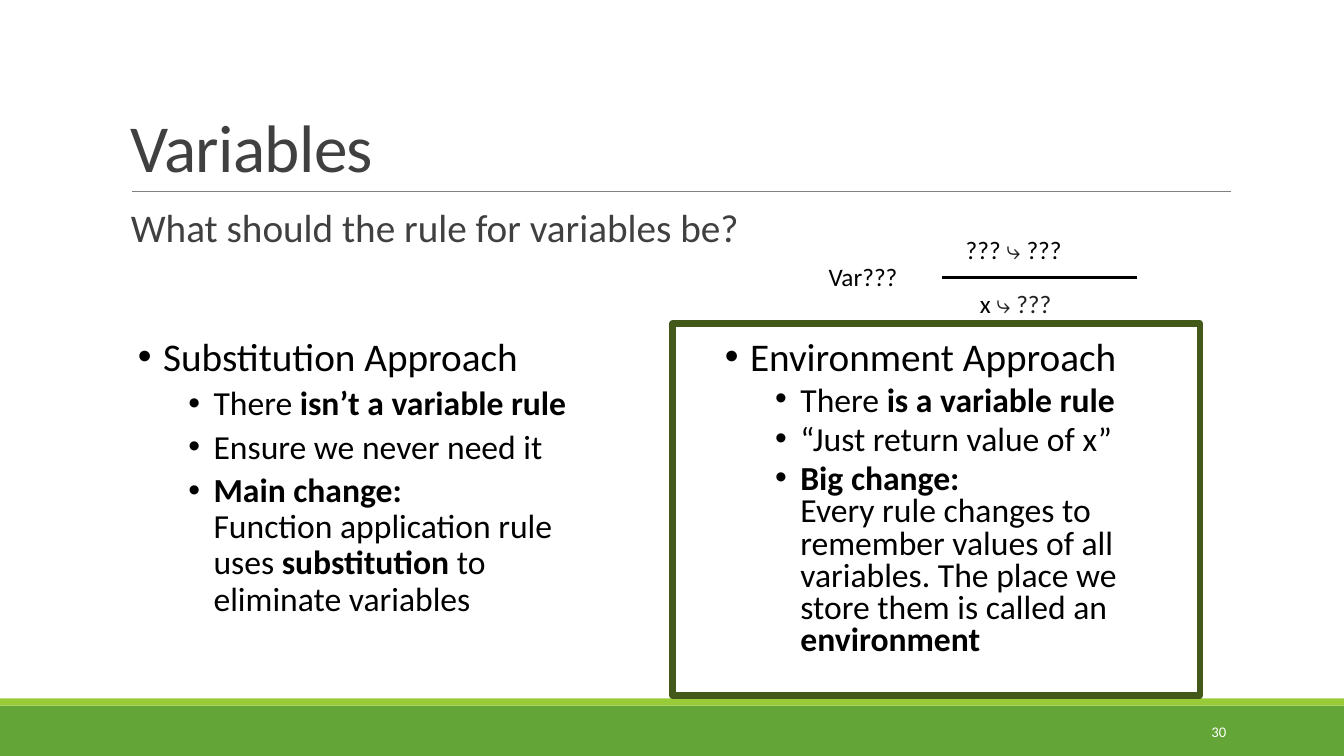
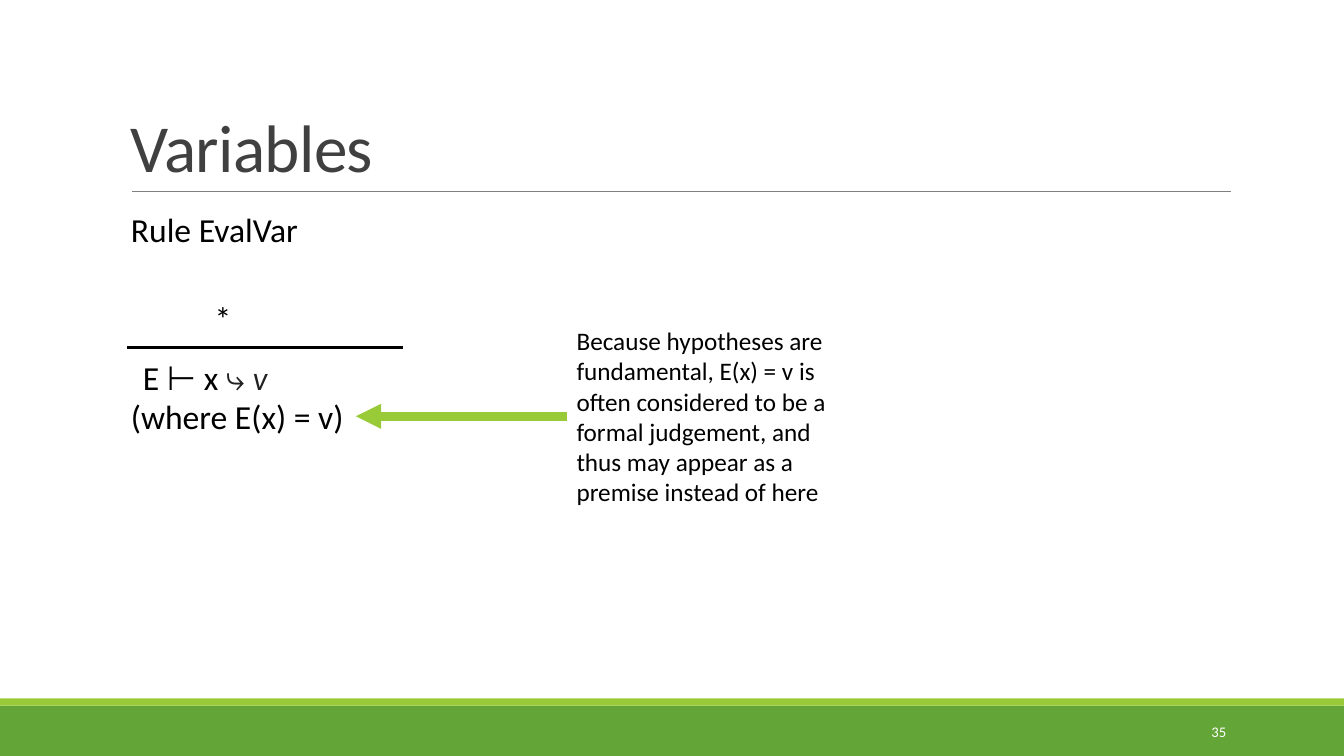
from lxml import etree
from pptx import Presentation
from pptx.dml.color import RGBColor
from pptx.enum.shapes import MSO_CONNECTOR, MSO_SHAPE
from pptx.enum.text import MSO_ANCHOR, PP_ALIGN
from pptx.oxml.ns import qn
from pptx.util import Inches, Pt

STRAIGHT = MSO_CONNECTOR.STRAIGHT
RECTANGLE = MSO_SHAPE.RECTANGLE
TOP, MIDDLE, BOTTOM = MSO_ANCHOR.TOP, MSO_ANCHOR.MIDDLE, MSO_ANCHOR.BOTTOM
LEFT, RIGHT = PP_ALIGN.LEFT, PP_ALIGN.RIGHT
LEFT_SIDE, RIGHT_SIDE = 1, 3

GREEN = RGBColor(0x63, 0xA5, 0x37)
LIME = RGBColor(0x99, 0xCB, 0x38)
DARK_GREEN = RGBColor(0x43, 0x59, 0x19)
GRAY = RGBColor(0x80, 0x80, 0x80)
TITLE_GRAY = RGBColor(0x40, 0x40, 0x40)
SYMBOL_GRAY = RGBColor(0x22, 0x22, 0x22)
BLACK = RGBColor(0, 0, 0)
WHITE = RGBColor(0xFF, 0xFF, 0xFF)

WIDTH, HEIGHT = 13.33, 7.5
MARGIN, CONTENT_WIDTH = 1.2, 11
FONT = "Calibri"
BOLD = {"bold": True}
SYMBOL = {"font": "Karla", "color": SYMBOL_GRAY}
VALUE = {"color": SYMBOL_GRAY}
BREAK = ("\n", {})


def add_runs(paragraph, runs, size, color=BLACK):
    for text, style in runs:
        if text == "\n":
            paragraph.add_line_break()
            continue
        run = paragraph.add_run()
        run.text = text
        run.font.name = style.get("font", FONT)
        run.font.size = Pt(size)
        run.font.color.rgb = style.get("color", color)
        run.font.bold = style.get("bold", False)
        run.font.italic = style.get("italic", False)


def add_box(shapes, left, top, width, height, anchor=TOP, wrap=True):
    box = shapes.add_textbox(Inches(left), Inches(top), Inches(width), Inches(height))
    box.text_frame.word_wrap = wrap
    box.text_frame.vertical_anchor = anchor
    return box


def add_text(shapes, area, runs, size, color=BLACK, anchor=TOP, align=LEFT,
             line_spacing=1.0, wrap=True):
    box = add_box(shapes, *area, anchor, wrap)
    paragraph = box.text_frame.paragraphs[0]
    paragraph.alignment = align
    paragraph.line_spacing = line_spacing
    add_runs(paragraph, runs, size, color)
    return box


def add_rectangle(shapes, left, top, width, height, fill=None, line=None, weight=0):
    shape = shapes.add_shape(RECTANGLE, Inches(left), Inches(top), Inches(width), Inches(height))
    shape.shadow.inherit = False
    if fill is None:
        shape.fill.background()
    else:
        shape.fill.solid()
        shape.fill.fore_color.rgb = fill
    if line is None:
        shape.line.fill.background()
    else:
        shape.line.color.rgb = line
        shape.line.width = Pt(weight)
    return shape


def add_line(shapes, start, end, color, weight):
    connector = shapes.add_connector(STRAIGHT, *map(Inches, start + end))
    connector.line.color.rgb = color
    connector.line.width = Pt(weight)
    etree.SubElement(connector._element.spPr, qn("a:effectLst"))
    return connector


def add_arrow(shapes, source, target, color, weight):
    arrow = add_line(shapes, (0, 0), (1, 0), color, weight)
    arrow.begin_connect(source, LEFT_SIDE)
    arrow.end_connect(target, RIGHT_SIDE)
    etree.SubElement(arrow.line._get_or_add_ln(), qn("a:tailEnd"), type="triangle")


def add_frame(presentation, title, number):
    slide = presentation.slides.add_slide(presentation.slide_layouts[6])
    shapes = slide.shapes
    add_rectangle(shapes, 0, 7, WIDTH, 0.5, GREEN)
    add_rectangle(shapes, 0, 6.93, WIDTH, 0.07, LIME)
    add_line(shapes, (1.31, 1.9), (12.21, 1.9), GRAY, 0.5)
    heading = add_text(shapes, (MARGIN, 0.31, CONTENT_WIDTH, 1.59), [(title, {})], 48,
                       TITLE_GRAY, BOTTOM, line_spacing=0.85)
    heading.text_frame.paragraphs[0].runs[0].font._element.set("spc", "-50")
    add_text(shapes, (10.83, 7.06, 1.43, 0.4), [(number, {})], 10.5, WHITE, MIDDLE, RIGHT)
    return shapes


def add_inference_rule(shapes, left, top, width, size, parts):
    add_line(shapes, (left, top), (left + width, top), BLACK, 2.25)
    height = 0.4 if size < 24 else 0.5
    return [
        add_text(shapes, (left + across, top + down, part_width, height), runs, size, wrap=wrap)
        for across, down, part_width, wrap, runs in parts
    ]


def add_outline(shapes, area, line_spacing, heading, items):
    frame = add_box(shapes, *area).text_frame
    for index, runs in enumerate([heading] + items):
        level = min(index, 1)
        paragraph = frame.add_paragraph() if index else frame.paragraphs[0]
        properties = paragraph._p.get_or_add_pPr()
        properties.set("marL", str(Inches(0.75 if level else 0.25)))
        properties.set("indent", str(Inches(-0.25)))
        etree.SubElement(properties, qn("a:buFont"), typeface="Arial")
        etree.SubElement(properties, qn("a:buChar"), char="•")
        paragraph.level = level
        paragraph.line_spacing = line_spacing
        paragraph.space_before = Pt(5 * level)
        add_runs(paragraph, runs, 24 if level else 28)


def build_approaches(presentation):
    shapes = add_frame(presentation, "Variables", "30")
    add_text(shapes, (MARGIN, 2.02, CONTENT_WIDTH, 0.6),
             [("What should the rule for variables be?", {})], 28, TITLE_GRAY, line_spacing=0.9)
    add_inference_rule(shapes, 9.34, 2.75, 1.94, 18, [
        (-1.22, -0.21, 1.35, True, [("Var???", {})]),
        (0.28, 0.06, 1.14, True, [("x ", {}), ("⤷", SYMBOL), (" ???", VALUE)]),
        (0.14, -0.47, 1.5, True, [("??? ", {}), ("⤷ ", SYMBOL), ("???", {})]),
    ])
    add_outline(shapes, (1.27, 3.3, 4.5, 3.77), 0.9, [("Substitution Approach", {})], [
        [("There ", {}), ("isn’t a variable rule", BOLD)],
        [("Ensure we never need it", {})],
        [("Main change:", BOLD), BREAK, ("Function application rule uses ", {}),
         ("substitution", BOLD), (" to eliminate variables", {})],
    ])
    add_outline(shapes, (7.09, 3.34, 4.28, 3.57), 0.8, [("Environment Approach", {})], [
        [("There ", {}), ("is a variable rule", BOLD)],
        [("“Just return value of x”", {})],
        [("Big change:", BOLD), BREAK,
         ("Every rule changes to remember values of all variables. "
          "The place we store them is called an ", {}), ("environment", BOLD)],
    ])
    add_rectangle(shapes, 6.67, 3.21, 5.23, 3.69, line=DARK_GREEN, weight=4.5)


def build_evaluation_rule(presentation):
    shapes = add_frame(presentation, "Variables", "35")
    rule = shapes.add_group_shape()
    parts = add_inference_rule(rule.shapes, 1.26, 3.45, 2.74, 24, [
        (-0.06, -1.43, 2.45, True, [("Rule EvalVar", {})]),
        (0.06, 0.04, 2.84, True,
         [("E ⊢ x ", {}), ("⤷", SYMBOL), (" v", {**SYMBOL, "italic": True})]),
        (0.77, -0.54, 0.4, True, [("*", {})]),
        (-0.06, 0.43, 2.33, False, [("(where E(x) = v)", {})]),
    ])
    side_condition = parts[-1]
    note = add_text(shapes, (5.62, 3.18, 2.92, 1.9), [
        ("Because hypotheses are fundamental, E(x) = v is often considered to be a formal "
         "judgement, and thus may appear as a premise instead of here", {})], 18)
    add_arrow(shapes, note, side_condition, LIME, 6)


def main():
    presentation = Presentation()
    presentation.slide_width = Inches(WIDTH)
    presentation.slide_height = Inches(HEIGHT)
    build_approaches(presentation)
    build_evaluation_rule(presentation)
    presentation.save("out.pptx")


if __name__ == "__main__":
    main()
